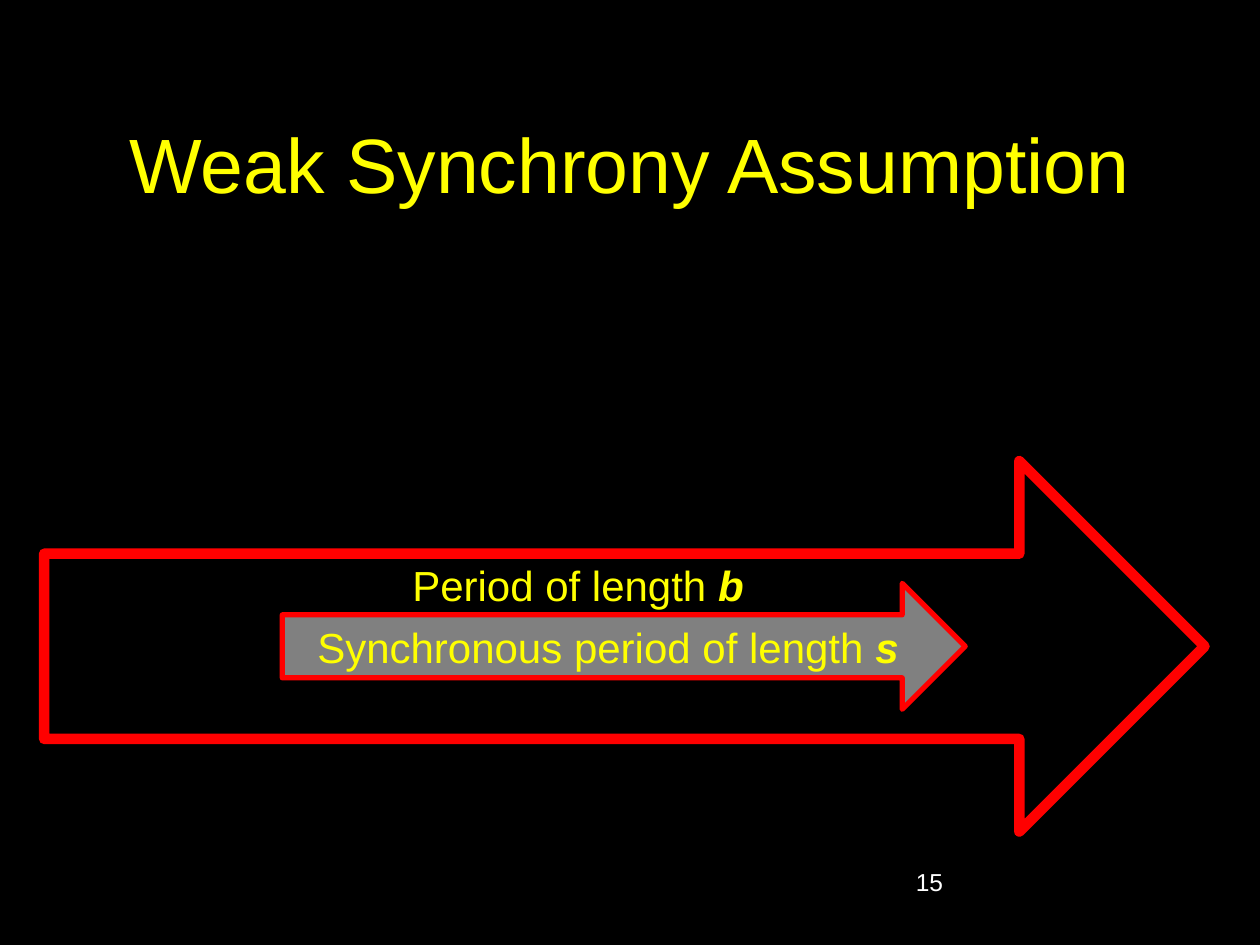
from lxml import etree
from pptx import Presentation
from pptx.dml.color import RGBColor
from pptx.enum.shapes import MSO_SHAPE
from pptx.enum.text import MSO_ANCHOR, MSO_AUTO_SIZE, PP_ALIGN
from pptx.oxml.ns import qn
from pptx.util import Inches, Pt

RIGHT_ARROW = MSO_SHAPE.RIGHT_ARROW
TOP, MIDDLE = MSO_ANCHOR.TOP, MSO_ANCHOR.MIDDLE
GROW, FIXED = MSO_AUTO_SIZE.SHAPE_TO_FIT_TEXT, MSO_AUTO_SIZE.NONE
LEFT, CENTER = PP_ALIGN.LEFT, PP_ALIGN.CENTER

WIDTH, HEIGHT = 10, 7.5
COLORS = {
    "background": "000000",
    "accent": "FFFF00",
    "number": "FFFFFF",
    "outline": "FF0000",
    "synchronous": "808080",
}
TITLE_BOX = (0.75, 0.67, 8.5, 1.25)
NUMBER_BOX = (7.17, 6.83, 2.08, 0.5)
PERIOD_BOX = (0.35, 3.66, 9.21, 2.94)
SYNCHRONOUS_BOX = (2.24, 4.63, 5.42, 1)


def color(name):
    return RGBColor.from_string(COLORS[name])


def set_values(target, values):
    for name, value in values.items():
        setattr(target, name, value)


def write(frame, pieces, size, tint, alignment, frame_format):
    set_values(frame, frame_format)
    paragraph = frame.paragraphs[0]
    paragraph.alignment = alignment
    for words, emphasis in pieces:
        run = paragraph.add_run()
        run.text = words
        set_values(run.font, {"name": "Arial", "size": Pt(size),
                              "bold": emphasis, "italic": emphasis})
        run.font.color.rgb = color(tint)


def place_title(slide, box):
    title = slide.shapes.title
    set_values(title, dict(zip(("left", "top", "width", "height"), map(Inches, box))))
    write(title.text_frame, [("Weak Synchrony Assumption", False)], 44, "accent", CENTER,
          {"vertical_anchor": MIDDLE, "word_wrap": True, "auto_size": FIXED})


def place_number(slide, box):
    number = slide.shapes.add_textbox(*map(Inches, box))
    write(number.text_frame, [("15", False)], 14, "number", LEFT,
          {"vertical_anchor": TOP, "word_wrap": True})


def place_period(slide, box, label, symbol, fill, weight, frame_format):
    arrow = slide.shapes.add_shape(RIGHT_ARROW, *map(Inches, box))
    arrow.shadow.inherit = False
    arrow.fill.solid()
    arrow.fill.fore_color.rgb = color(fill)
    arrow.line.color.rgb = color("outline")
    arrow.line.width = Pt(weight)
    outline = arrow.element.spPr.find(qn("a:ln"))
    etree.SubElement(outline, qn("a:round"))
    write(arrow.text_frame, [(label, False), (symbol, True)], 24, "accent", CENTER,
          {"word_wrap": False, **frame_format})


def main():
    deck = Presentation()
    set_values(deck, {"slide_width": Inches(WIDTH), "slide_height": Inches(HEIGHT)})
    slide = deck.slides.add_slide(deck.slide_layouts[5])
    slide.background.fill.solid()
    slide.background.fill.fore_color.rgb = color("background")
    place_title(slide, TITLE_BOX)
    place_number(slide, NUMBER_BOX)
    place_period(slide, PERIOD_BOX, "Period of length ", "b", "background", 6,
                 {"vertical_anchor": TOP})
    place_period(slide, SYNCHRONOUS_BOX, "Synchronous period of length ", "s",
                 "synchronous", 3, {"vertical_anchor": MIDDLE, "auto_size": GROW})
    deck.save("out.pptx")


if __name__ == "__main__":
    main()
